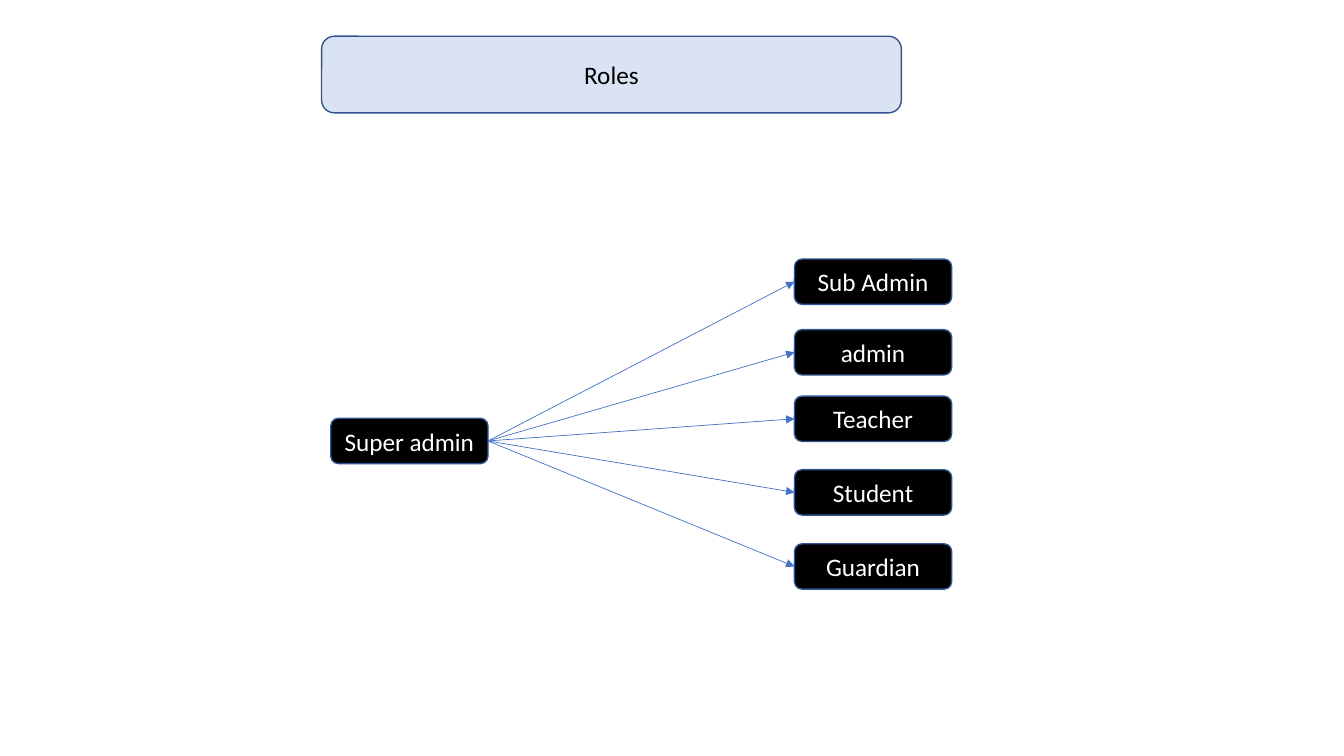
from dataclasses import dataclass

from lxml.etree import SubElement
from pptx import Presentation
from pptx.dml.color import RGBColor
from pptx.enum.shapes import MSO_CONNECTOR, MSO_SHAPE
from pptx.enum.text import MSO_ANCHOR, PP_ALIGN
from pptx.oxml.ns import qn
from pptx.shapes.autoshape import Shape
from pptx.slide import Slide
from pptx.util import Inches, Pt

BLACK = RGBColor(0x00, 0x00, 0x00)
WHITE = RGBColor(0xFF, 0xFF, 0xFF)
PALE_BLUE = RGBColor(0xDA, 0xE3, 0xF3)
BORDER = RGBColor(0x32, 0x54, 0x91)
ARROW = RGBColor(0x44, 0x72, 0xC4)

# Grid of 100 columns by 100 rows
WIDTH, HEIGHT = Inches(13.33), Inches(7.5)
COL, ROW = WIDTH / 100, HEIGHT / 100
ROLE_COL = 59.11
RIGHT_SIDE, LEFT_SIDE = 3, 1


@dataclass(frozen=True)
class Box:
    text: str
    col: float
    row: float
    cols: float = 11.7
    rows: float = 6
    fill: RGBColor = BLACK
    color: RGBColor = WHITE


TITLE = Box("Roles", 23.93, 4.8, 43.14, 10.13, PALE_BLUE, BLACK)
SUPER_ADMIN = Box("Super admin", 24.61, 55.33)
ROLES = [
    Box("Sub Admin", ROLE_COL, 34.27),
    Box("admin", ROLE_COL, 43.6),
    Box("Teacher", ROLE_COL, 52.4),
    Box("Student", ROLE_COL, 62.13),
    Box("Guardian", ROLE_COL, 71.93),
]


def add_box(s: Slide, box: Box) -> Shape:
    sp = s.shapes.add_shape(
        MSO_SHAPE.ROUNDED_RECTANGLE,
        round(box.col * COL), round(box.row * ROW),
        round(box.cols * COL), round(box.rows * ROW),
    )
    sp.shadow.inherit = False
    sp.fill.solid()
    sp.fill.fore_color.rgb = box.fill
    sp.line.color.rgb = BORDER
    sp.line.width = Pt(1)
    tf = sp.text_frame
    tf.word_wrap = True
    tf.vertical_anchor = MSO_ANCHOR.MIDDLE
    p = tf.paragraphs[0]
    p.alignment = PP_ALIGN.CENTER
    r = p.add_run()
    r.text = box.text
    r.font.name = "Calibri"
    r.font.size = Pt(18)
    r.font.color.rgb = box.color
    return sp


def add_arrow(s: Slide, start: Shape, end: Shape) -> None:
    cx = s.shapes.add_connector(MSO_CONNECTOR.STRAIGHT, 0, 0, 0, 0)
    cx.begin_connect(start, RIGHT_SIDE)
    cx.end_connect(end, LEFT_SIDE)
    cx.line.color.rgb = ARROW
    cx.line.width = Pt(0.5)
    SubElement(cx.line._get_or_add_ln(), qn("a:tailEnd"), type="triangle")
    SubElement(cx._element.spPr, qn("a:effectLst"))


def main() -> None:
    prs = Presentation()
    prs.slide_width, prs.slide_height = WIDTH, HEIGHT
    s = prs.slides.add_slide(prs.slide_layouts[6])

    # Role boxes
    super_admin = add_box(s, SUPER_ADMIN)
    roles = [add_box(s, role) for role in ROLES]

    # Arrows from the super admin to each role
    for role in roles:
        add_arrow(s, super_admin, role)

    # Title
    add_box(s, TITLE)

    prs.save("out.pptx")


if __name__ == "__main__":
    main()
